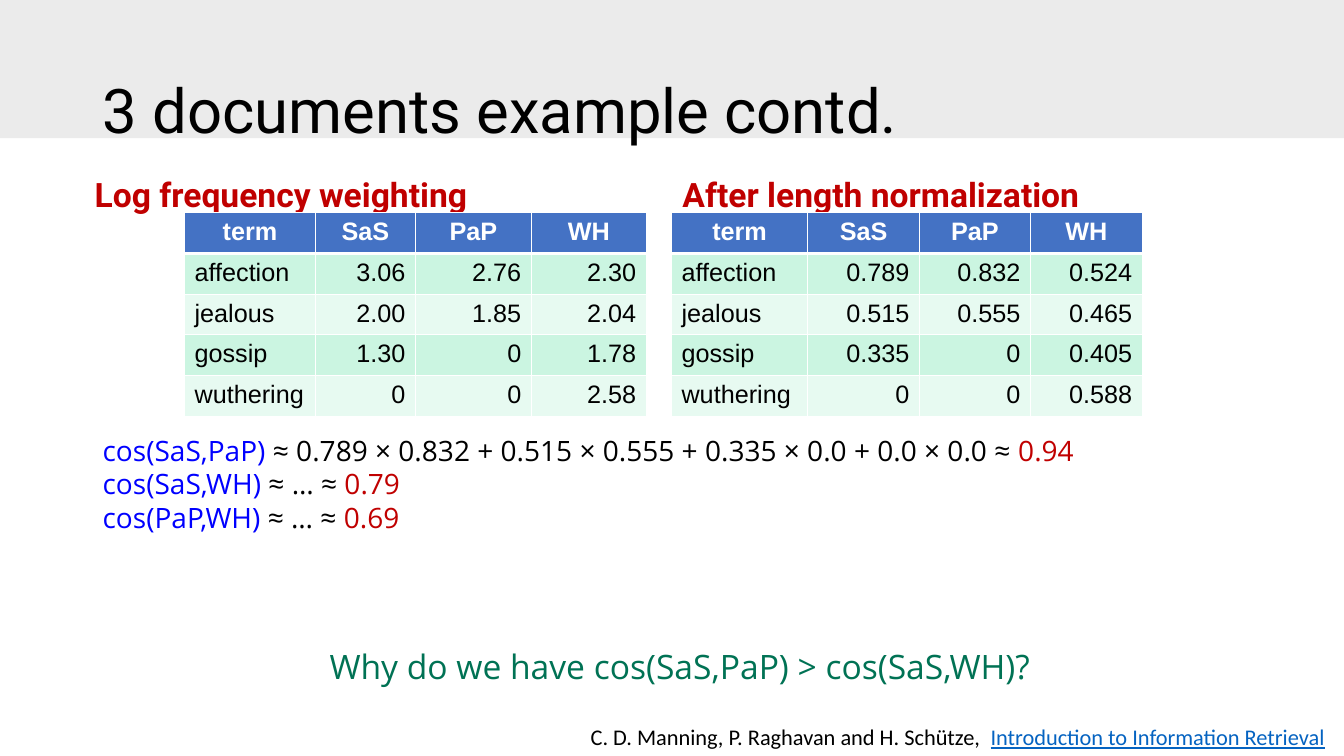
from lxml.etree import SubElement
from pptx import Presentation
from pptx.dml.color import RGBColor
from pptx.enum.shapes import MSO_SHAPE as Shape
from pptx.enum.text import MSO_ANCHOR as Anchor, PP_ALIGN as Align
from pptx.oxml import parse_xml
from pptx.oxml.ns import nsdecls, qn
from pptx.util import Pt

SCALE = 9144  # EMU in one px, 100 px to the inch

BLACK = RGBColor(0x00, 0x00, 0x00)
WHITE = RGBColor(0xFF, 0xFF, 0xFF)
GRAY = RGBColor(0xA6, 0xA6, 0xA6)
RED = RGBColor(0xC0, 0x00, 0x00)
BLUE = RGBColor(0x00, 0x00, 0xFF)
GREEN = RGBColor(0x00, 0x72, 0x54)
LINK = RGBColor(0x05, 0x63, 0xC1)
HEAD = RGBColor(0x44, 0x72, 0xC4)
MINT = RGBColor(0xCB, 0xF5, 0xE1)
PALE = RGBColor(0xE7, 0xFA, 0xF1)

TERMS = ["affection", "jealous", "gossip", "wuthering"]
LOGS = [["3.06", "2.76", "2.30"], ["2.00", "1.85", "2.04"],
        ["1.30", "0", "1.78"], ["0", "0", "2.58"]]
NORMS = [["0.789", "0.832", "0.524"], ["0.515", "0.555", "0.465"],
         ["0.335", "0", "0.405"], ["0", "0", "0.588"]]
COSINES = [
    [("cos(SaS,PaP) ", BLUE),
     ("≈ 0.789 × 0.832 + 0.515 × 0.555 + 0.335 × 0.0 + 0.0 × 0.0 ≈ ", BLACK),
     ("0.94", RED)],
    [("cos(SaS,WH)", BLUE), (" ≈ … ≈ ", BLACK), ("0.79", RED)],
    [("cos(PaP,WH) ", BLUE), ("≈ … ≈ ", BLACK), ("0.69", RED)],
]
SOURCE = [("C. D. Manning, P. Raghavan and H. Schütze,  ", BLACK),
          ("Introduction to Information Retrieval", LINK)]


def px(*sizes):
    return [size * SCALE for size in sizes]


def add_band(slide):
    band = slide.shapes.add_shape(Shape.RECTANGLE, *px(0, 0, 1333, 137))
    band.shadow.inherit = False
    band.fill.solid()
    band.fill.fore_color.rgb = GRAY
    band.line.fill.background()
    color = band.fill._xPr.find(".//" + qn("a:srgbClr"))
    SubElement(color, qn("a:alpha"), val="22000")


def add_text(slide, place, lines, font, size, bold=False,
             anchor=Anchor.TOP, spacing=None):
    """Add a text box; each line is a list of (text, color) runs."""
    box = slide.shapes.add_textbox(*px(*place))
    frame = box.text_frame
    frame.word_wrap = True
    frame.vertical_anchor = anchor
    frame.text = "\n".join("" for _ in lines)
    for para, line in zip(frame.paragraphs, lines):
        if spacing:
            para.line_spacing = spacing
        for text, color in line:
            run = para.add_run()
            run.text = text
            run.font.name = font
            run.font.size = Pt(size)
            run.font.bold = bold
            run.font.color.rgb = color
            if color == LINK:
                run.font.underline = True


def set_edges(cell, top, bottom):
    """Draw white cell borders, one point wide at the sides."""
    props = cell._tc.get_or_add_tcPr()
    edges = [("L", 1), ("R", 1), ("T", top), ("B", bottom)]
    for spot, (side, width) in enumerate(edges):
        edge = parse_xml(
            f'<a:ln{side} {nsdecls("a")} w="{Pt(width)}"><a:solidFill>'
            f'<a:srgbClr val="{WHITE}"/></a:solidFill></a:ln{side}>')
        props.insert(spot, edge)


def add_grid(slide, left, widths, values):
    rows = [["term", "SaS", "PaP", "WH"]]
    rows += [[term, *line] for term, line in zip(TERMS, values)]
    place = px(left, 211, sum(widths), 202)
    table = slide.shapes.add_table(len(rows), len(widths), *place).table
    for col, width in zip(table.columns, px(*widths)):
        col.width = width
    for i, row in enumerate(rows):
        for j, text in enumerate(row):
            cell = table.cell(i, j)
            cell.fill.solid()
            cell.fill.fore_color.rgb = (PALE, MINT)[i % 2] if i else HEAD
            set_edges(cell, 3 if i == 1 else 1, 1 if i else 3)
            para = cell.text_frame.paragraphs[0]
            para.text = text
            if i == 0:
                para.alignment = Align.CENTER
            else:
                para.alignment = Align.RIGHT if j else Align.LEFT
            font = para.runs[0].font
            font.name = "Arial"
            font.size = Pt(18)
            font.bold = i == 0
            font.color.rgb = BLACK if i else WHITE


def main():
    deck = Presentation()
    deck.slide_width, deck.slide_height = px(1333, 750)
    slide = deck.slides.add_slide(deck.slide_layouts[6])

    add_band(slide)
    add_text(slide, (92, 40, 1150, 145),
             [[("3 documents example contd.", BLACK)]], "Roboto", 44,
             anchor=Anchor.MIDDLE, spacing=0.9)

    panels = [
        ("Log frequency weighting", 84, 183, [130, 99, 115, 114], LOGS),
        ("After length normalization", 667, 666, [135, 111, 110, 111], NORMS),
    ]
    for name, start, left, widths, values in panels:
        add_text(slide, (start, 128, 565, 90), [[(name, RED)]], "Roboto", 24,
                 bold=True, anchor=Anchor.BOTTOM, spacing=0.9)
        add_grid(slide, left, widths, values)

    add_text(slide, (92, 425, 1190, 111), COSINES, "Open Sans", 20)
    add_text(slide, (317, 636, 747, 51),
             [[("Why do we have cos(SaS,PaP) > cos(SaS,WH)?", GREEN)]],
             "Open Sans", 24)
    add_text(slide, (576, 713, 757, 37), [SOURCE], "Calibri", 16)
    deck.save("out.pptx")


if __name__ == "__main__":
    main()
